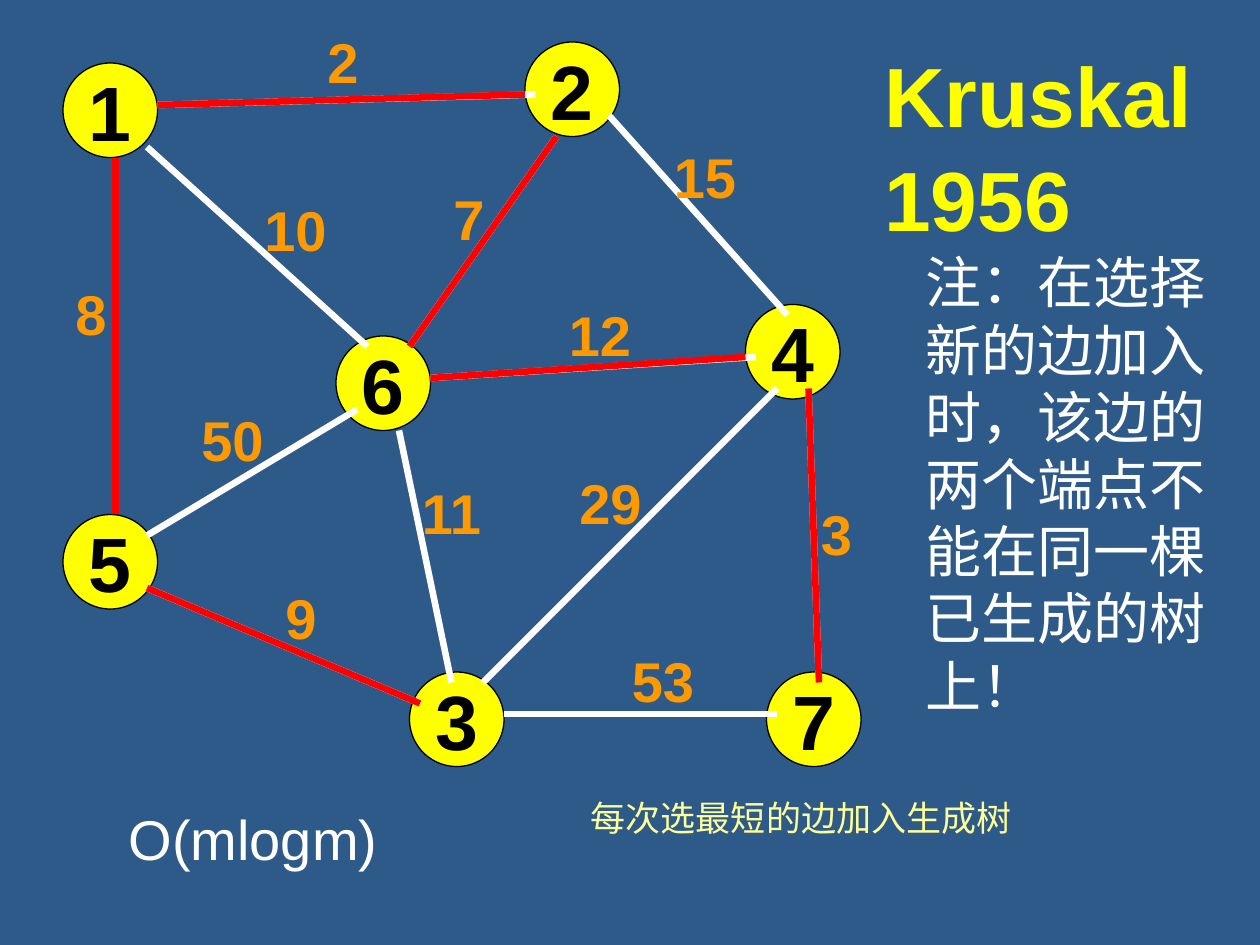
from pptx import Presentation
from pptx.dml.color import RGBColor
from pptx.enum import shapes, text
from pptx.oxml.ns import qn
from pptx import util as u
from lxml import etree

BLUE = RGBColor(0x2D, 0x5A, 0x89)
YELLOW = RGBColor(0xFF, 0xFF, 0x00)
PALE_YELLOW = RGBColor(0xFF, 0xFF, 0x99)
ORANGE = RGBColor(0xFF, 0x99, 0x00)
RED = RGBColor(0xFF, 0x00, 0x00)
WHITE = RGBColor(0xFF, 0xFF, 0xFF)
BLACK = RGBColor(0x00, 0x00, 0x00)

PAGE_WIDTH, PAGE_HEIGHT = 25.4, 19.05
COLUMNS = 120  # the page is a grid of 120 by 90 cells
NODE_SIZE = 9

# Node number: cell of its top left corner in the graph
NODES = {1: (0, 2), 6: (26, 28), 3: (33, 60), 5: (0, 45),
         2: (44, 0), 4: (65, 25), 7: (67, 60)}

# Weight, start, end, label corner, end of the red line if in the tree
EDGES = [
    (50, (8, 47), (28, 35), (12, 34), None),
    (9, (8, 52), (34, 63), (20, 51), (34, 63)),
    (11, (32, 37), (37, 61), (33, 41), None),
    (8, (5, 45), (5, 11), (0, 22), (5, 11)),
    (2, (9, 6), (45, 5), (24, -2), (44, 5)),
    (7, (47, 9), (33, 29), (36, 13), (33, 29)),
    (53, (42, 64), (68, 64), (53, 57), None),
    (10, (8, 10), (29, 29), (18, 14), None),
    (15, (52, 7), (69, 26), (57, 9), None),
    (29, (68, 33), (40, 61), (48, 40), None),
    (3, (71, 33), (72, 61), (71, 43), (72, 61)),
    (12, (35, 32), (66, 30), (47, 24), (65, 30)),
]


def cells(count):
    return u.Cm(count * PAGE_WIDTH / COLUMNS)


def write(shape, *lines, size, color, bold=False, align=text.PP_ALIGN.LEFT,
          anchor=text.MSO_ANCHOR.TOP, wrap=True, gap=0):
    """Fill a shape with one paragraph per line."""
    frame = shape.text_frame
    frame.auto_size = text.MSO_AUTO_SIZE.NONE
    frame.word_wrap = wrap
    frame.vertical_anchor = anchor
    for index, line in enumerate(lines):
        para = frame.add_paragraph() if index else frame.paragraphs[0]
        para.alignment = align
        para.space_before = u.Pt(gap if index else 0)
        span = para.add_run()
        span.text = line
        span.font.name = "Arial"
        span.font.size = u.Pt(size)
        span.font.bold = bold
        span.font.color.rgb = color


def place(shape, left, top, width, height):
    shape.left, shape.top = u.Cm(left), u.Cm(top)
    shape.width, shape.height = u.Cm(width), u.Cm(height)


def add_edge(page, start, end, color):
    line = page.shapes.add_connector(shapes.MSO_CONNECTOR.STRAIGHT,
                                     *map(cells, start + end))
    line.line.color.rgb = color
    line.line.width = u.Pt(3.75)
    etree.SubElement(line._element.spPr, qn("a:effectLst"))


def add_graph(page, left, top):
    def shift(point):
        return left + point[0], top + point[1]

    # Numbered nodes
    for number, corner in NODES.items():
        node = page.shapes.add_shape(
            shapes.MSO_SHAPE.OVAL, *map(cells, shift(corner)),
            cells(NODE_SIZE), cells(NODE_SIZE))
        node.shadow.inherit = False
        node.fill.solid()
        node.fill.fore_color.rgb = YELLOW
        node.line.color.rgb = BLACK
        node.line.width = u.Pt(0.75)
        write(node, str(number), size=44, color=BLACK, bold=True, wrap=False,
              align=text.PP_ALIGN.CENTER, anchor=text.MSO_ANCHOR.MIDDLE)

    # All edges, then their weights, then the spanning tree on top
    for _, start, end, _, _ in EDGES:
        add_edge(page, shift(start), shift(end), WHITE)
    for weight, _, _, corner, _ in EDGES:
        label = page.shapes.add_textbox(*map(cells, shift(corner)),
                                        cells(13), u.Cm(1.63))
        write(label, str(weight), size=32, color=ORANGE, bold=True)
    for _, start, _, _, tree_end in EDGES:
        if tree_end:
            add_edge(page, shift(start), shift(tree_end), RED)


def add_heading(page, left, top):
    # Algorithm and year
    title = page.shapes.title
    place(title, left, top, 6.99, 4.2)
    write(title, "Kruskal", "1956", size=48, color=YELLOW, bold=True, gap=2)

    # Note on choosing an edge
    note = page.placeholders[1]
    place(note, left + 0.84, top + 4.12, 6.56, 9.75)
    props = note.text_frame.paragraphs[0]._p.get_or_add_pPr()
    props.set("marL", "0")
    props.set("indent", "0")
    etree.SubElement(props, qn("a:buNone"))
    write(note, "注：在选择新的边加入时，该边的两个端点不能在同一棵已生成的树上！",
          size=32, color=WHITE)


def add_footer(page, left, top):
    cost = page.shapes.add_textbox(u.Cm(left), u.Cm(top + 0.15), u.Cm(5.69), u.Cm(1.63))
    write(cost, "O(mlogm)", size=32, color=WHITE, wrap=False,
          anchor=text.MSO_ANCHOR.MIDDLE)
    rule = page.shapes.add_textbox(u.Cm(left + 9.32), u.Cm(top), u.Cm(11), u.Cm(1.12))
    write(rule, "每次选最短的边加入生成树", size=20, color=PALE_YELLOW)


def main():
    deck = Presentation()
    deck.slide_width, deck.slide_height = u.Cm(PAGE_WIDTH), u.Cm(PAGE_HEIGHT)
    page = deck.slides.add_slide(deck.slide_layouts[1])
    page.background.fill.solid()
    page.background.fill.fore_color.rgb = BLUE
    add_graph(page, 6, 4)
    add_heading(page, 17.57, 0.75)
    add_footer(page, 2.34, 15.93)
    deck.save("out.pptx")


if __name__ == "__main__":
    main()
